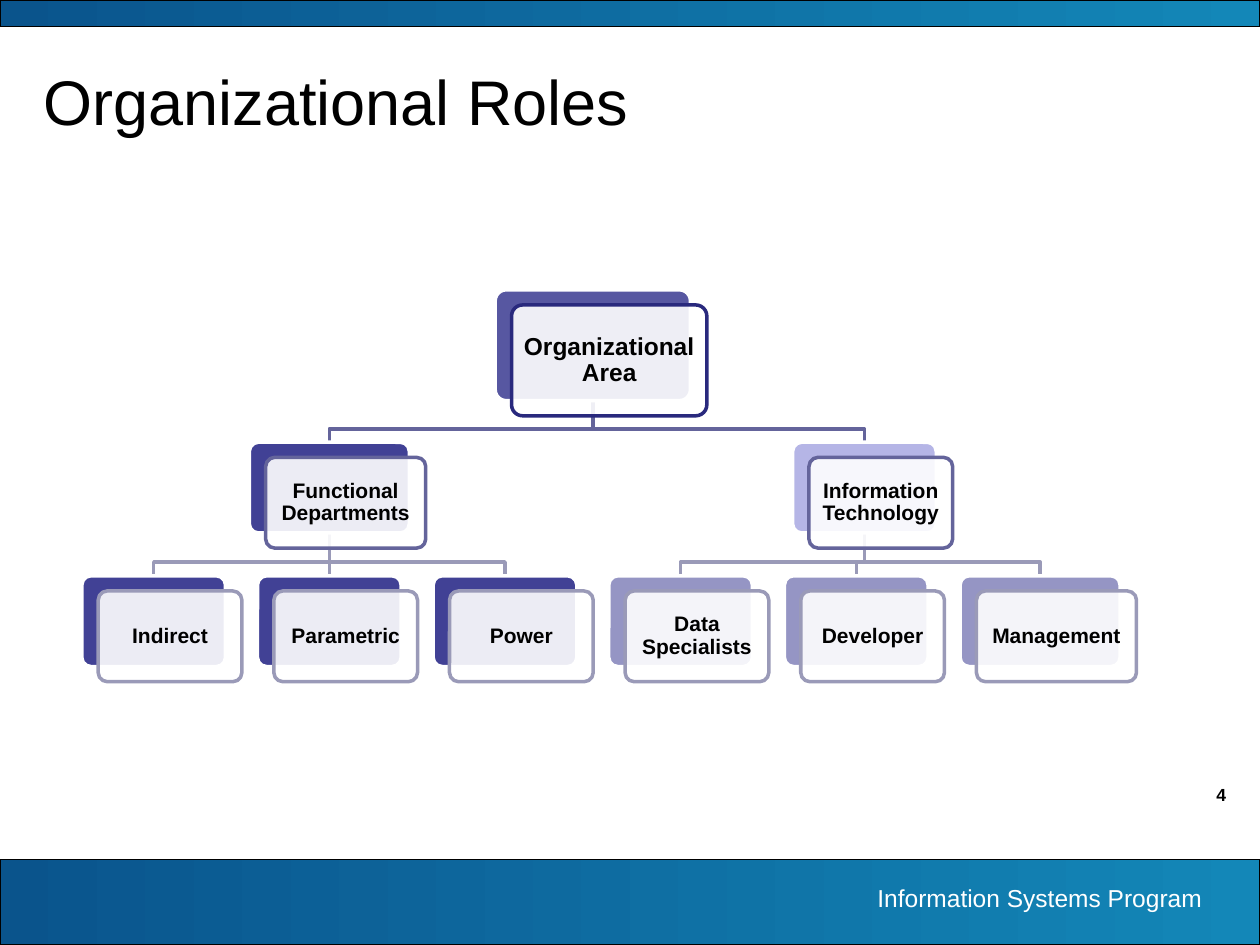
from lxml.etree import SubElement
from pptx import Presentation
from pptx.dml.color import RGBColor
from pptx.enum.shapes import MSO_CONNECTOR, MSO_SHAPE
from pptx.enum.text import MSO_ANCHOR, PP_ALIGN
from pptx.oxml.ns import qn
from pptx.util import Inches, Pt

BLACK = RGBColor(0x00, 0x00, 0x00)
WHITE = RGBColor(0xFF, 0xFF, 0xFF)
BAND_START = RGBColor(0x0A, 0x54, 0x8C)
BAND_END = RGBColor(0x13, 0x87, 0xB8)
NAVY = RGBColor(0x2D, 0x2D, 0x8A)
LILAC = RGBColor(0xA3, 0xA3, 0xE0)
LEVEL_LINES = [RGBColor(0x29, 0x29, 0x7D), RGBColor(0x64, 0x64, 0x9B),
               RGBColor(0x9A, 0x9A, 0xB8)]

AREA = ("Organizational Area", 1.55, NAVY, 80)
BRANCHES = [
    (("Functional Departments", 1.27, NAVY, 90),
     [("Indirect", 1.14, NAVY, 90),
      ("Parametric", 1.14, NAVY, 90),
      ("Power", 1.14, NAVY, 90)]),
    (("Information Technology", 1.14, LILAC, 80),
     [("Data Specialists", 1.14, NAVY, 50),
      ("Developer", 1.14, NAVY, 50),
      ("Management", 1.27, NAVY, 50)]),
]

SLIDE_W, SLIDE_H = 10, 7.5
LEVEL_TOPS = [2.3, 3.51, 4.57]
LEVEL_HEIGHTS = [0.88, 0.72, 0.72]
LEVEL_SIZES = [14, 12, 12]
LEVEL_INSETS = [0.06, 0.05, 0.05]
FIRST_LEFT, COLUMN_STEP = 0.65, 1.394
FRONT_DX, FRONT_DY, LABEL_MARGIN = 0.13, 0.12, 0.02
ELBOW_SHARE = 0.68

prs = Presentation()
prs.slide_width, prs.slide_height = Inches(SLIDE_W), Inches(SLIDE_H)
slide = prs.slides.add_slide(prs.slide_layouts[6])
shapes = slide.shapes


def add_text(text, left, top, width, height, size, color=BLACK, bold=False,
             align=PP_ALIGN.LEFT, anchor=MSO_ANCHOR.TOP, inset=None, spacing=None):
    box = shapes.add_textbox(*map(Inches, (left, top, width, height)))
    frame = box.text_frame
    frame.word_wrap = True
    frame.vertical_anchor = anchor
    if inset is not None:
        frame.margin_left = frame.margin_right = Inches(inset)
        frame.margin_top = frame.margin_bottom = Inches(inset)
    paragraph = frame.paragraphs[0]
    paragraph.text = text
    paragraph.alignment = align
    paragraph.line_spacing = spacing
    font = paragraph.font
    font.name, font.size, font.bold = "Arial", Pt(size), bold
    font.color.rgb = color


def add_band(top, height):
    band = shapes.add_shape(MSO_SHAPE.RECTANGLE, 0, Inches(top),
                            Inches(SLIDE_W), Inches(height))
    band.shadow.inherit = False
    band.fill.gradient()
    band.fill.gradient_angle = 0
    for stop, color, position in zip(band.fill.gradient_stops,
                                     (BAND_START, BAND_END), (0, 1)):
        stop.color.rgb, stop.position = color, position
    band.line.color.rgb, band.line.width = BLACK, Pt(0.75)


def add_card(left, top, width, height, fill, opacity, line):
    card = shapes.add_shape(MSO_SHAPE.ROUNDED_RECTANGLE,
                            *map(Inches, (left, top, width, height)))
    card.adjustments[0] = 0.1
    card.shadow.inherit = False
    card.fill.solid()
    card.fill.fore_color.rgb = fill
    fill_color = card.element.spPr.find(qn("a:solidFill"))[0]
    SubElement(fill_color, qn("a:alpha"), val=str(opacity * 1000))
    card.line.color.rgb, card.line.width = line, Pt(2)


def add_role(role, left, level):
    name, width, fill, opacity = role
    top, height = LEVEL_TOPS[level], LEVEL_HEIGHTS[level]
    front_left, front_top = left + FRONT_DX, top + FRONT_DY
    add_card(left, top, width, height, fill, opacity, WHITE)
    add_card(front_left, front_top, width, height, WHITE, 90, LEVEL_LINES[level])
    add_text(name, front_left + LABEL_MARGIN, front_top + LABEL_MARGIN,
             width - 2 * LABEL_MARGIN, height - 2 * LABEL_MARGIN,
             LEVEL_SIZES[level], bold=True, align=PP_ALIGN.CENTER,
             anchor=MSO_ANCHOR.MIDDLE, inset=LEVEL_INSETS[level], spacing=0.9)


def add_link(parent_x, child_x, level):
    start = LEVEL_TOPS[level - 1] + LEVEL_HEIGHTS[level - 1]
    end = LEVEL_TOPS[level]
    elbow = start + ELBOW_SHARE * (end - start)
    if abs(parent_x - child_x) < 0.01:
        link = shapes.add_connector(MSO_CONNECTOR.STRAIGHT, *map(
            Inches, (parent_x, start, child_x, end)))
        SubElement(link.element.spPr, qn("a:effectLst"))
    else:
        outline = shapes.build_freeform(Inches(parent_x), Inches(start))
        corners = [(parent_x, elbow), (child_x, elbow), (child_x, end)]
        outline.add_line_segments(
            [(Inches(x), Inches(y)) for x, y in corners], close=False)
        link = outline.convert_to_shape()
        link.fill.background()
        link.shadow.inherit = False
    link.line.color.rgb, link.line.width = LEVEL_LINES[level], Pt(2)


def middle(placed):
    first_left = placed[0][1]
    last_role, last_left, _ = placed[-1]
    return (first_left + last_left + last_role[1]) / 2


def center(role, left):
    return left + role[1] / 2


add_text("4", 9, 6.17, 0.83, 0.27, 10, bold=True, align=PP_ALIGN.RIGHT)
add_band(6.82, 0.68)
add_band(0, 0.21)
add_text("Information Systems Program", 5.55, 6.96, 4.09, 0.34, 14, WHITE,
         align=PP_ALIGN.RIGHT)
add_text("Organizational Roles", 0.25, 0.42, 9.17, 0.75, 36,
         anchor=MSO_ANCHOR.MIDDLE)

placed_roles, links, departments = [], [], []
column = 0
for department, members in BRANCHES:
    placed_members = []
    for member in members:
        placed_members.append((member, FIRST_LEFT + column * COLUMN_STEP, 2))
        column += 1
    branch_x = middle(placed_members)
    departments.append((department, branch_x - department[1] / 2, 1))
    placed_roles += [departments[-1], *placed_members]
    links += [(branch_x, center(role, left), 2) for role, left, _ in placed_members]

area_x = middle(departments)
placed_roles.insert(0, (AREA, area_x - AREA[1] / 2, 0))
links += [(area_x, center(role, left), 1) for role, left, _ in departments]

for link in links:
    add_link(*link)
for placed_role in placed_roles:
    add_role(*placed_role)

prs.save("out.pptx")
